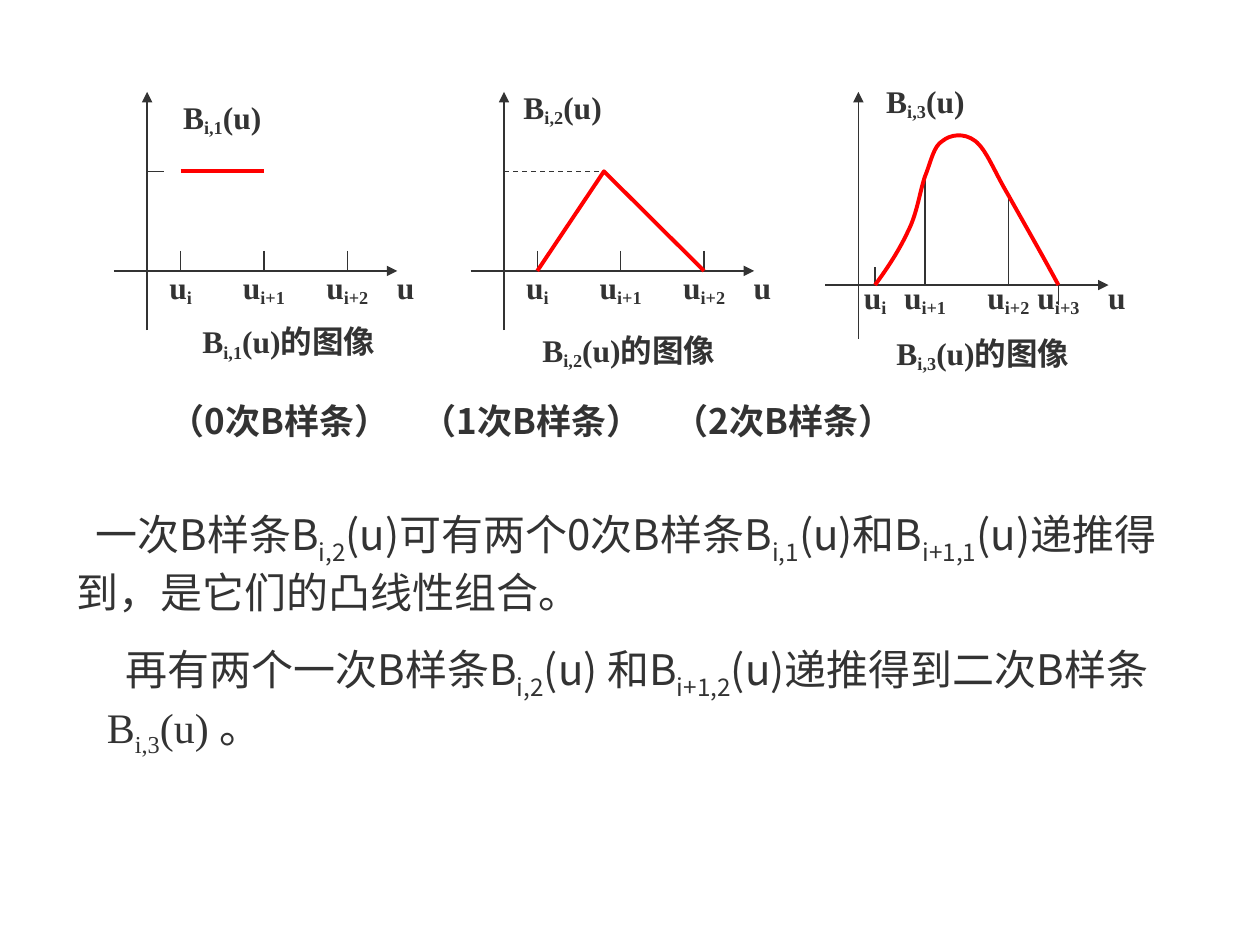
from lxml import etree
from pptx import Presentation
from pptx import util as u
from pptx.dml.color import RGBColor
from pptx.enum import dml, shapes, text
from pptx.oxml.ns import qn

SERIF, SANS = "Times New Roman", "Noto Sans CJK SC"
DARK, RED = "333333", "FF0000"
UNIT = 9.53
AXIS_TOP = 52.5
PEAK = 97.9


def color(value):
    """Turn a hex string into a colour."""
    return RGBColor.from_string(value)


def write_text(paragraph, content, font=SERIF, size=18, bold=False, baseline=-16):
    """Append runs to a paragraph; parts between underscores are subscripts."""
    for index, part in enumerate(content.split("_")):
        run = paragraph.add_run()
        run.text = part
        run.font.name, run.font.size, run.font.bold = font, u.Pt(size), bold
        run.font.color.rgb = color(DARK)
        properties = run._r.get_or_add_rPr()
        etree.SubElement(properties, qn("a:ea")).set("typeface", SANS)
        if index % 2:
            properties.set("baseline", str(baseline * 1000))


def add_box(slide, left, top, width, height, align=text.PP_ALIGN.LEFT, indent=0, tabs=()):
    """Add an empty wrapped text box and return its first paragraph."""
    box = slide.shapes.add_textbox(u.Pt(left), u.Pt(top), u.Pt(width), u.Pt(height))
    frame = box.text_frame
    frame.word_wrap = True
    frame.auto_size = text.MSO_AUTO_SIZE.SHAPE_TO_FIT_TEXT
    paragraph = frame.paragraphs[0]
    paragraph.alignment = align
    properties = paragraph._p.get_or_add_pPr()
    properties.set("indent", str(u.Pt(indent)))
    if tabs:
        stops = etree.SubElement(properties, qn("a:tabLst"))
        for position in tabs:
            stop = etree.SubElement(stops, qn("a:tab"))
            stop.set("pos", str(u.Pt(position)))
            stop.set("algn", "l")
    return paragraph


def add_label(slide, content, center, top, width):
    """Add a bold label centred on a horizontal position."""
    paragraph = add_box(slide, center - width / 2, top, width, 30, text.PP_ALIGN.CENTER)
    write_text(paragraph, content, bold=True)


def add_line(slide, start, end, stroke=DARK, weight=0.75, arrow=False, dashed=False):
    """Add a straight line, optionally dashed or with an arrowhead."""
    ends = [u.Pt(value) for value in (*start, *end)]
    line = slide.shapes.add_connector(shapes.MSO_CONNECTOR.STRAIGHT, *ends)
    line.line.color.rgb, line.line.width = color(stroke), u.Pt(weight)
    if dashed:
        line.line.dash_style = dml.MSO_LINE.DASH
    if arrow:
        etree.SubElement(line.line._get_or_add_ln(), qn("a:tailEnd")).set("type", "triangle")
    etree.SubElement(line._element.spPr, qn("a:effectLst"))


def add_curve(slide, points, smooth=False):
    """Add an open red outline; a smooth one reads points as Bezier triples."""
    vertices = [(u.Pt(x), u.Pt(y)) for x, y in points]
    builder = slide.shapes.build_freeform(*vertices[0])
    builder.add_line_segments(vertices[1:], close=False)
    shape = builder.convert_to_shape()
    shape.shadow.inherit = False
    shape.fill.background()
    shape.line.color.rgb, shape.line.width = color(RED), u.Pt(2.25)
    if smooth:
        segments = shape._element.xpath(".//a:lnTo")
        outline = segments[0].getparent()
        for index, segment in enumerate(segments):
            if index % 3 == 0:
                bezier = etree.SubElement(outline, qn("a:cubicBezTo"))
            bezier.append(segment[0])
            outline.remove(segment)


def add_axes(slide, origin, base, bottom):
    """Add the two arrowed axes of a plot."""
    add_line(slide, (origin - 2 * UNIT, base), (origin + 15 * UNIT, base), arrow=True)
    add_line(slide, (origin, bottom), (origin, AXIS_TOP), arrow=True)


def add_knots(slide, origin, knots, top):
    """Label the knots and the end of the horizontal axis."""
    for index, knot in enumerate(knots):
        suffix = f"+{index}" if index else ""
        add_label(slide, f"u_i{suffix}", origin + knot * UNIT, top, 57)
    add_label(slide, "u", origin + 15.5 * UNIT, top, 47.5)


def add_titles(slide, order, name_center, name_top, caption_center, caption_top):
    """Add the function name and the caption of a plot."""
    add_label(slide, f"B_i,{order}_(u)", name_center, name_top, 85.7)
    add_label(slide, f"B_i,{order}_(u)的图像", caption_center, caption_top, 142.6)


def add_low_degree_plot(slide, order, origin):
    """Draw the spline of degree zero or one."""
    base, knots = 154.8, (2, 7, 12)
    add_axes(slide, origin, base, 188.6)
    for knot in knots:
        x = origin + knot * UNIT
        add_line(slide, (x, base - 11.4), (x, base))
    left, middle, right = (origin + knot * UNIT for knot in knots)
    if order == 1:
        add_line(slide, (origin, PEAK), (origin + UNIT, PEAK))
        add_line(slide, (left, PEAK), (middle, PEAK), RED, 2.25)
    else:
        summit = origin + 6 * UNIT
        add_line(slide, (origin, PEAK), (summit, PEAK), dashed=True)
        add_curve(slide, [(left, base), (summit, PEAK), (right, base)])
    add_knots(slide, origin, knots, 149.8)


def add_quadratic_plot(slide, origin):
    """Draw the spline of degree two."""
    base, knots = 162.9, (1, 4, 9, 12)
    add_axes(slide, origin, base, 193.7)
    first, second, third, last = (origin + knot * UNIT for knot in knots)
    add_line(slide, (first, base - 10.3), (first, base))
    add_line(slide, (second, 101), (second, base))
    add_line(slide, (third, 111.6), (third, base))
    add_line(slide, (last, base), (last, base + 11.3))
    add_curve(slide, [
        (first, base),
        (507.6, 152.6), (514.1, 142.6), (519.1, 131.8),
        (524.2, 121.7), (525.6, 109.4), (second, 100.8),
        (532.1, 92.2), (533.5, 83.5), (538.6, 80.6),
        (542.9, 77), (550.8, 75.6), (557.3, 80.6),
        (563.8, 85.7), (568.1, 97.9), (third, 111.6),
        (583.9, 125.3), (594.7, 144), (last, base),
    ], smooth=True)
    add_knots(slide, origin, knots, 155.5)


def main():
    """Build the slide and save it."""
    presentation = Presentation()
    presentation.slide_width, presentation.slide_height = u.Pt(720), u.Pt(540)
    slide = presentation.slides.add_slide(presentation.slide_layouts[6])

    add_low_degree_plot(slide, 1, 84.1)
    add_titles(slide, 1, 127, 52.5, 165, 180.7)
    add_low_degree_plot(slide, 2, 288)
    add_titles(slide, 2, 321.5, 46.8, 359.3, 185.8)
    add_quadratic_plot(slide, 490.5)
    add_titles(slide, 3, 528.8, 43.2, 561.6, 187.2)

    degrees = add_box(slide, 54, 224.6, 635, 55.4, tabs=(13.4, 199.4, 380.6))
    row = "".join(f"\t（{degree}次B样条）" for degree in range(3))
    write_text(degrees, row, font=SANS, size=20, bold=True)

    body = {"size": 24, "baseline": -25}
    linear = add_box(slide, 36.7, 287.3, 635, 72.7, indent=10.8)
    write_text(linear, "一次B样条B_i,2_(u)可有两个0次B样条B_i,1_(u)和B_i+1,1_(u)"
               "递推得到，是它们的凸线性组合。", font=SANS, **body)
    quadratic = add_box(slide, 54, 364.3, 635, 72.7, indent=10.8)
    write_text(quadratic, "再有两个一次B样条B_i,2_(u) 和B_i+1,2_(u)递推得到二次B样条",
               font=SANS, **body)
    write_text(quadratic, "B_i,3_(u) ", **body)
    write_text(quadratic, "。", font=SANS, **body)

    presentation.save("out.pptx")


if __name__ == "__main__":
    main()
